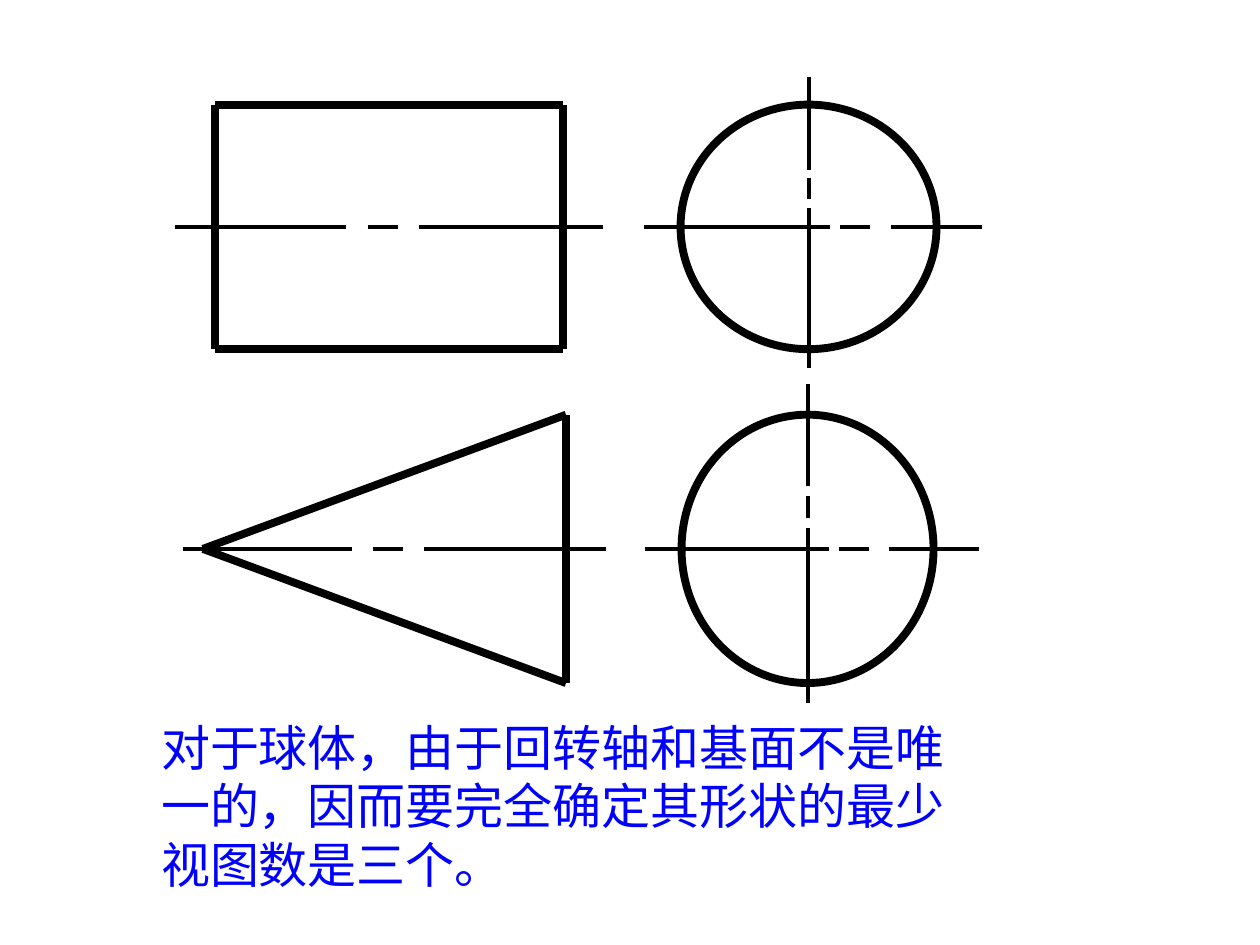
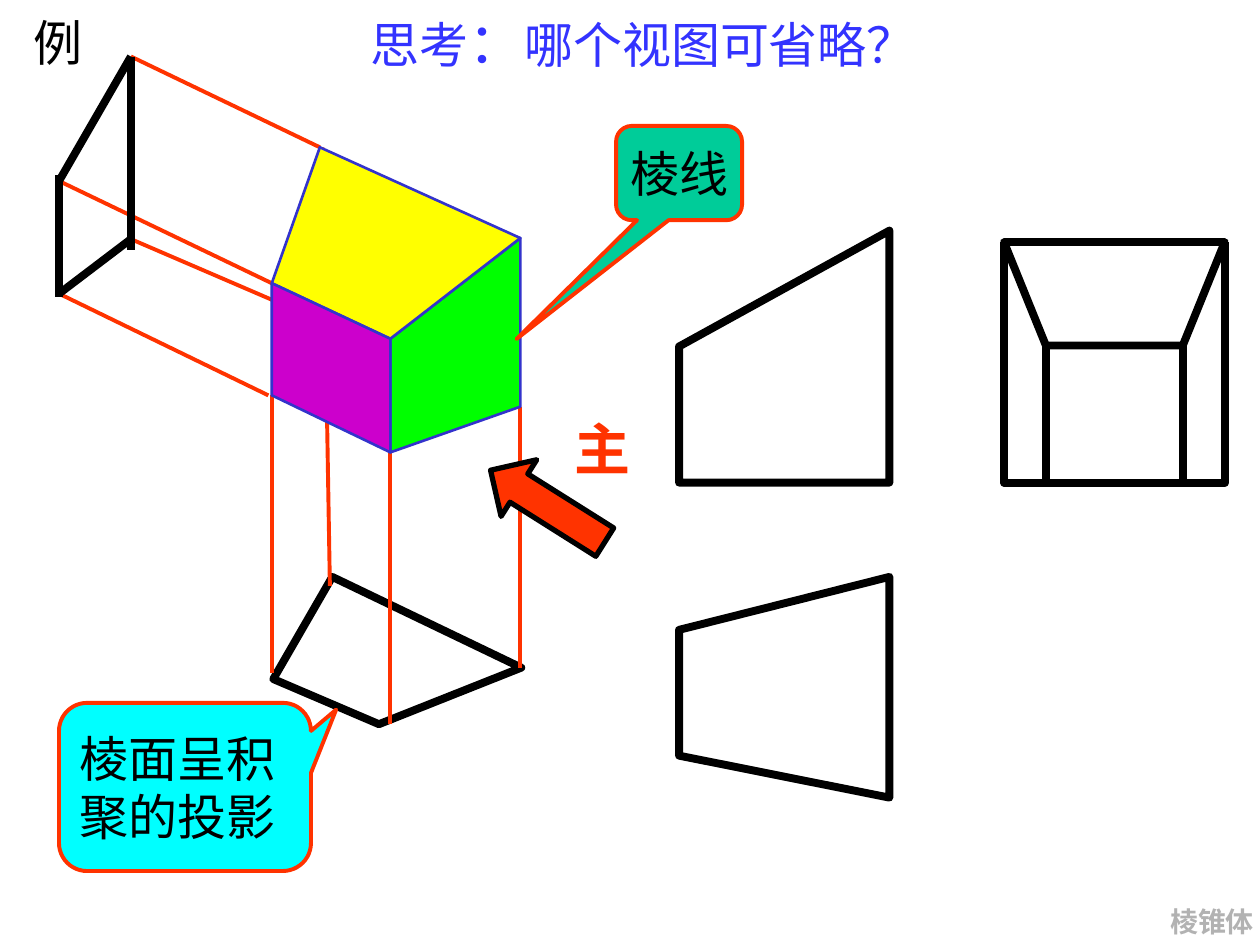
from itertools import pairwise

from lxml.etree import SubElement
from pptx import Presentation
from pptx.dml.color import RGBColor
from pptx.enum.shapes import MSO_CONNECTOR, MSO_SHAPE
from pptx.enum.text import MSO_ANCHOR, MSO_AUTO_SIZE, PP_ALIGN
from pptx.oxml.ns import qn
from pptx.util import Cm, Pt

BLACK = RGBColor(0x00, 0x00, 0x00)
WHITE = RGBColor(0xFF, 0xFF, 0xFF)
BLUE = RGBColor(0x00, 0x00, 0xFF)
INDIGO = RGBColor(0x33, 0x33, 0xFF)
NAVY = RGBColor(0x33, 0x33, 0xCC)
RED = RGBColor(0xFF, 0x33, 0x00)
GREEN = RGBColor(0x00, 0xFF, 0x00)
YELLOW = RGBColor(0xFF, 0xFF, 0x00)
PURPLE = RGBColor(0xCC, 0x00, 0xCC)
TEAL = RGBColor(0x00, 0xCC, 0x99)
CYAN = RGBColor(0x00, 0xFF, 0xFF)
GREY = RGBColor(0xB2, 0xB2, 0xB2)

SANS = "Noto Sans CJK SC"
SERIF = "Times New Roman"
THICK, THIN = 4.5, 2.25

# Where the dashes of a centre line start and end, as shares of its length
SIDE_DASH = [(0, 0.4), (0.45, 0.52), (0.57, 1)]
END_DASH = [(0, 0.55), (0.58, 0.67), (0.73, 1)]
UP_DASH = [(0, 0.32), (0.35, 0.42), (0.45, 1)]


def write(par, words, size=28, color=BLACK, bold=False, face=SANS, align=PP_ALIGN.LEFT):
    """Add one formatted run to a paragraph."""
    par.alignment = align
    run = par.add_run()
    run.text = words
    font = run.font
    font.size, font.bold, font.name = Pt(size), bold, face
    font.color.rgb = color
    SubElement(run._r.get_or_add_rPr(), qn("a:ea")).set("typeface", SANS)


def frame(shape, wrap=False, anchor=MSO_ANCHOR.TOP):
    """Set up the text frame of a shape and return its first paragraph."""
    text = shape.text_frame
    text.auto_size = MSO_AUTO_SIZE.NONE
    text.word_wrap, text.vertical_anchor = wrap, anchor
    return text.paragraphs[0]


def label(slide, box, words, wrap=False, **style):
    shape = slide.shapes.add_textbox(*map(Cm, box))
    write(frame(shape, wrap), words, **style)


def paint(shape, fill=None, color=BLACK, width=THICK):
    shape.shadow.inherit = False
    if fill is None:
        shape.fill.background()
    else:
        shape.fill.solid()
        shape.fill.fore_color.rgb = fill
    shape.line.color.rgb = color
    shape.line.width = Pt(width)


def stroke(slide, start, end, color=BLACK, width=THICK):
    line = slide.shapes.add_connector(
        MSO_CONNECTOR.STRAIGHT, *map(Cm, (*start, *end)))
    line.line.color.rgb = color
    line.line.width = Pt(width)
    SubElement(line._element.spPr, qn("a:effectLst"))


def spread(box, spots):
    """Turn shares of a box into places on the slide."""
    x, y, w, h = box
    return [(x + w * u, y + h * v) for u, v in spots]


def outline(slide, spots, close=True, **style):
    first, *rest = [(Cm(x), Cm(y)) for x, y in spots]
    pen = slide.shapes.build_freeform(*first)
    pen.add_line_segments(rest, close=close)
    paint(pen.convert_to_shape(), **style)


def axis(slide, start, end, dashes):
    """Draw a centre line broken into dashes."""
    (x, y), (right, low) = start, end
    box = (x, y, right - x, low - y)
    for pair in dashes:
        stroke(slide, *spread(box, [(s, s) for s in pair]), width=THIN)


def side_view(slide, box, spots, before):
    x, y, w, h = box
    mid = y + h / 2
    axis(slide, (x - before, mid), (x + w + 0.81, mid), SIDE_DASH)
    for start, end in pairwise(spread(box, spots + spots[:1])):
        stroke(slide, start, end)


def end_view(slide, box):
    x, y, w, h = box
    paint(slide.shapes.add_shape(MSO_SHAPE.OVAL, *map(Cm, box)))
    mid, hub = y + h / 2, x + w / 2
    axis(slide, (x - 0.73, mid), (x + w + 0.91, mid), END_DASH)
    axis(slide, (hub, y - 0.115 * h), (hub, y + 1.075 * h), UP_DASH)


def round_slide(deck):
    slide = deck.slides.add_slide(deck.slide_layouts[6])
    block = [(0, 0), (0, 1), (1, 1), (1, 0)]
    cone = [(1, 0), (0, 0.5), (1, 1)]
    side_view(slide, (4.34, 2.11, 7.01, 4.93), block, before=0.81)
    end_view(slide, (13.72, 2.11, 5.16, 4.93))
    side_view(slide, (4.09, 8.36, 7.32, 5.41), cone, before=0.41)
    end_view(slide, (13.74, 8.36, 5.08, 5.41))
    label(slide, (3, 14.33, 16.94, 3.81),
          "对于球体，由于回转轴和基面不是唯一的，因而要完全确定其形状的最少视图数是三个。",
          wrap=True, color=BLUE)


def heading(slide, box):
    title = slide.shapes.title
    title.left, title.top, title.width, title.height = map(Cm, box)
    par = frame(title)
    for words, size in [("思考", 28), ("：", 32), ("哪个视图可省略？", 28)]:
        write(par, words, size=size, color=INDIGO, face=SERIF, align=PP_ALIGN.CENTER)


def front_view(slide, box):
    outline(slide, spread(box, [(0, 1), (1, 1), (1, 0), (0, 0.46)]))


def top_view(slide, box):
    outline(slide, spread(box, [(0, 0.24), (0, 0.81), (1, 1), (1, 0)]))


def left_view(slide, box):
    near, far, fold = 0.19, 0.81, 0.43
    outline(slide, spread(box, [(0, 0), (1, 0), (far, fold), (near, fold)]), fill=WHITE)
    outline(slide, spread(box, [(0, 0), (0, 1), (1, 1), (1, 0)]), close=False)
    for edge in (near, far):
        stroke(slide, *spread(box, [(edge, fold), (edge, 1)]))


def solid(slide, x, y):
    """Draw the cut prism with its projections on the wall and the floor."""
    def at(*spots):
        return [(x + u, y + v) for u, v in spots]

    peak, left, front, right = (5.26, 1.83), (4.29, 4.57), (6.68, 5.69), (9.3, 3.66)
    left_low, front_low, right_low = (4.29, 6.83), (6.68, 7.98), (9.3, 7.06)
    wall_top, wall_mid, wall_low, wall_back = (1.45, 0), (0, 2.51), (0, 4.78), (1.45, 3.68)

    outline(slide, at((4.32, 12.55), (6.45, 13.46), (9.32, 12.32), (5.51, 10.49)), fill=WHITE)
    rays = [
        (peak, wall_top), (left, wall_mid), ((4.22, 6.83), wall_low),
        (right_low, wall_back), (left_low, (4.29, 12.42)),
        ((5.31, 1.83), (5.46, 10.67)), (front_low, (6.68, 13.46)),
        (right_low, (9.3, 12.32)),
    ]
    for ray in rays:
        stroke(slide, *at(*ray), color=RED, width=THIN)
    walls = [
        (wall_top, wall_mid), ((0, 2.39), (0, 4.85)),
        (wall_top, (1.45, 3.89)), (wall_low, wall_back),
    ]
    for edge in walls:
        stroke(slide, *at(*edge))
    faces = [
        (GREEN, (front, right, right_low, front_low)),
        (YELLOW, (right, peak, left, front)),
        (PURPLE, (left, left_low, front_low, front)),
    ]
    for fill, spots in faces:
        outline(slide, at(*spots), fill=fill, color=NAVY, width=1.5)


def callout(slide, box, lines, fill, tip, align):
    shape = slide.shapes.add_shape(MSO_SHAPE.ROUNDED_RECTANGULAR_CALLOUT, *map(Cm, box))
    paint(shape, fill=fill, color=RED, width=THIN)
    shape.adjustments[0], shape.adjustments[1] = tip
    par = frame(shape, anchor=MSO_ANCHOR.MIDDLE)
    for count, words in enumerate(lines):
        if count:
            par = shape.text_frame.add_paragraph()
        write(par, words, align=align)


def main_mark(slide, x, y):
    """Mark the main viewing direction with an arrow and its sign."""
    arrow = slide.shapes.add_shape(
        MSO_SHAPE.LEFT_ARROW, Cm(x), Cm(y + 1.3), Cm(2.72), Cm(1.35))
    arrow.rotation = 32.2
    paint(arrow, fill=RED, width=3)
    label(slide, (x + 1.65, y, 1.63, 1.63), "主", size=32, color=RED, bold=True, face=SERIF)


def prism_slide(deck):
    slide = deck.slides.add_slide(deck.slide_layouts[5])
    heading(slide, (7.21, 0.03, 11.51, 2.79))
    front_view(slide, (13.69, 4.65, 4.24, 5.08))
    top_view(slide, (13.69, 11.63, 4.24, 4.45))
    left_view(slide, (20.24, 4.88, 4.45, 4.85))
    label(slide, (23.34, 18.11, 2.18, 0.94), "棱锥体",
          size=16, color=GREY, bold=True, face=SERIF)
    label(slide, (0.41, 0.13, 1.5, 1.45), "例", face=SERIF, align=PP_ALIGN.CENTER)
    solid(slide, 1.19, 1.14)
    callout(slide, (12.42, 2.54, 2.54, 1.9), ["棱线"], TEAL, (-1.29, 1.76), PP_ALIGN.CENTER)
    callout(slide, (1.19, 14.17, 5.08, 3.39), ["棱面呈积", "聚的投影"],
            CYAN, (0.6, -0.46), PP_ALIGN.LEFT)
    main_mark(slide, 9.68, 8.23)


def main():
    deck = Presentation()
    deck.slide_width, deck.slide_height = Cm(25.4), Cm(19.05)
    round_slide(deck)
    prism_slide(deck)
    deck.save("out.pptx")


if __name__ == "__main__":
    main()
